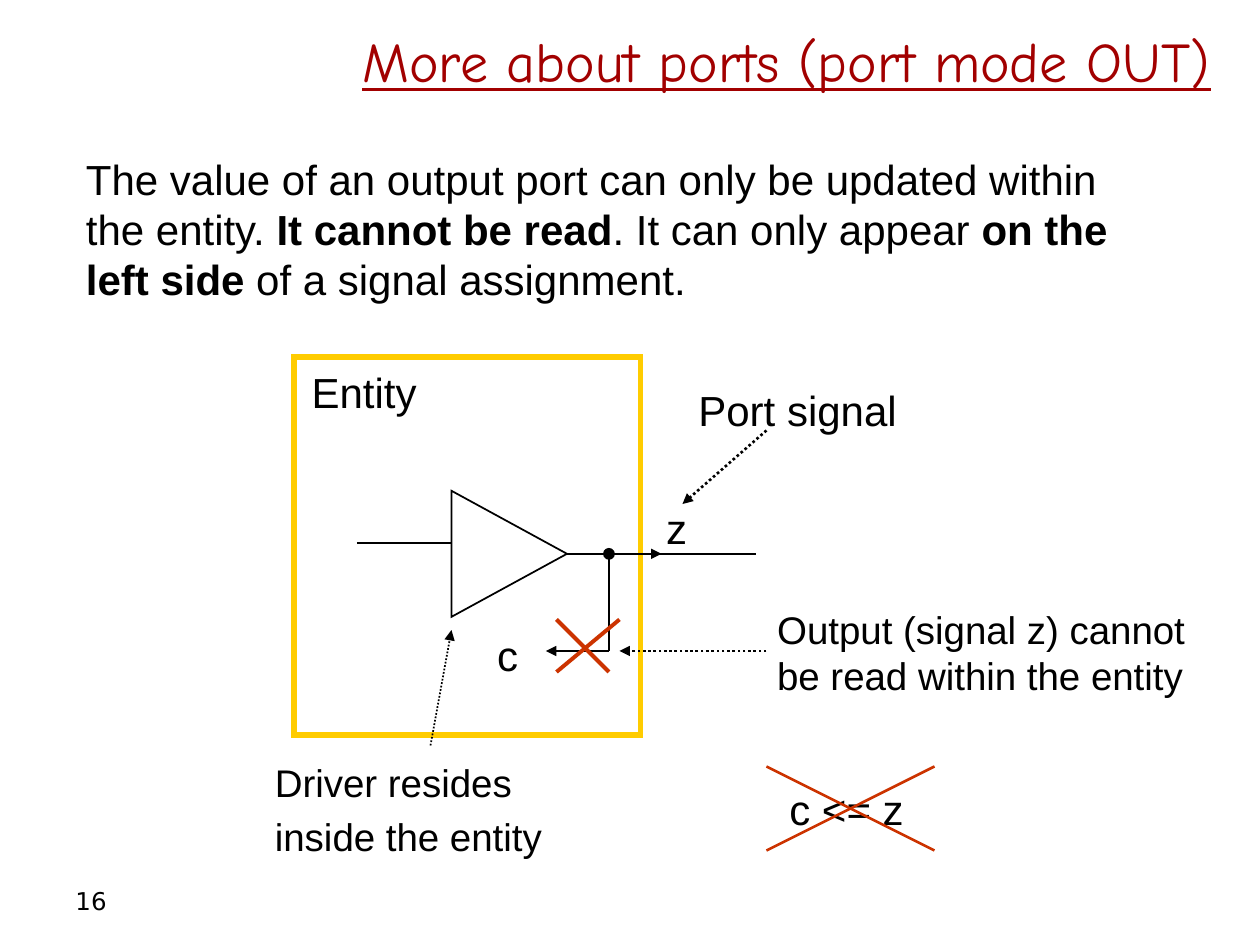
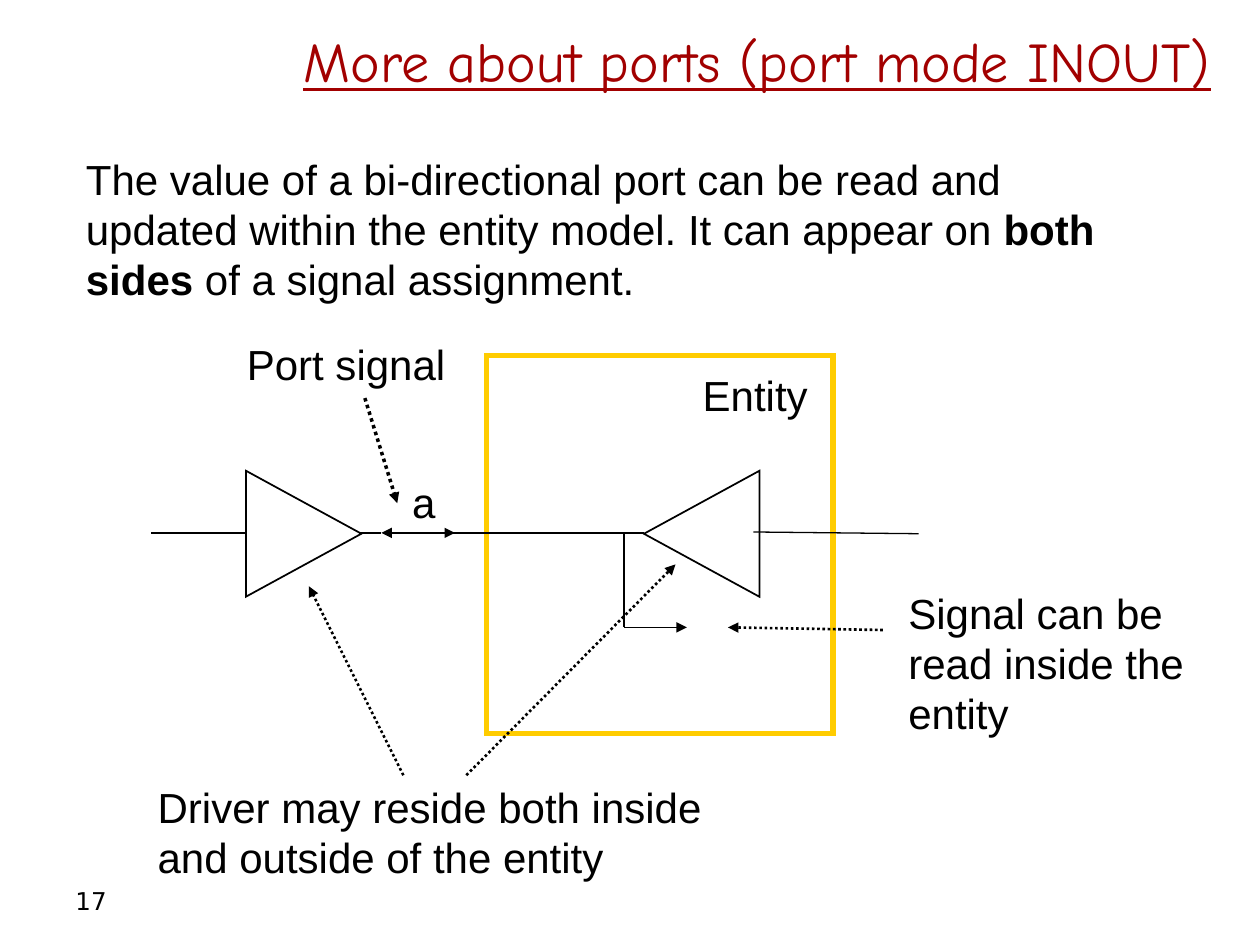
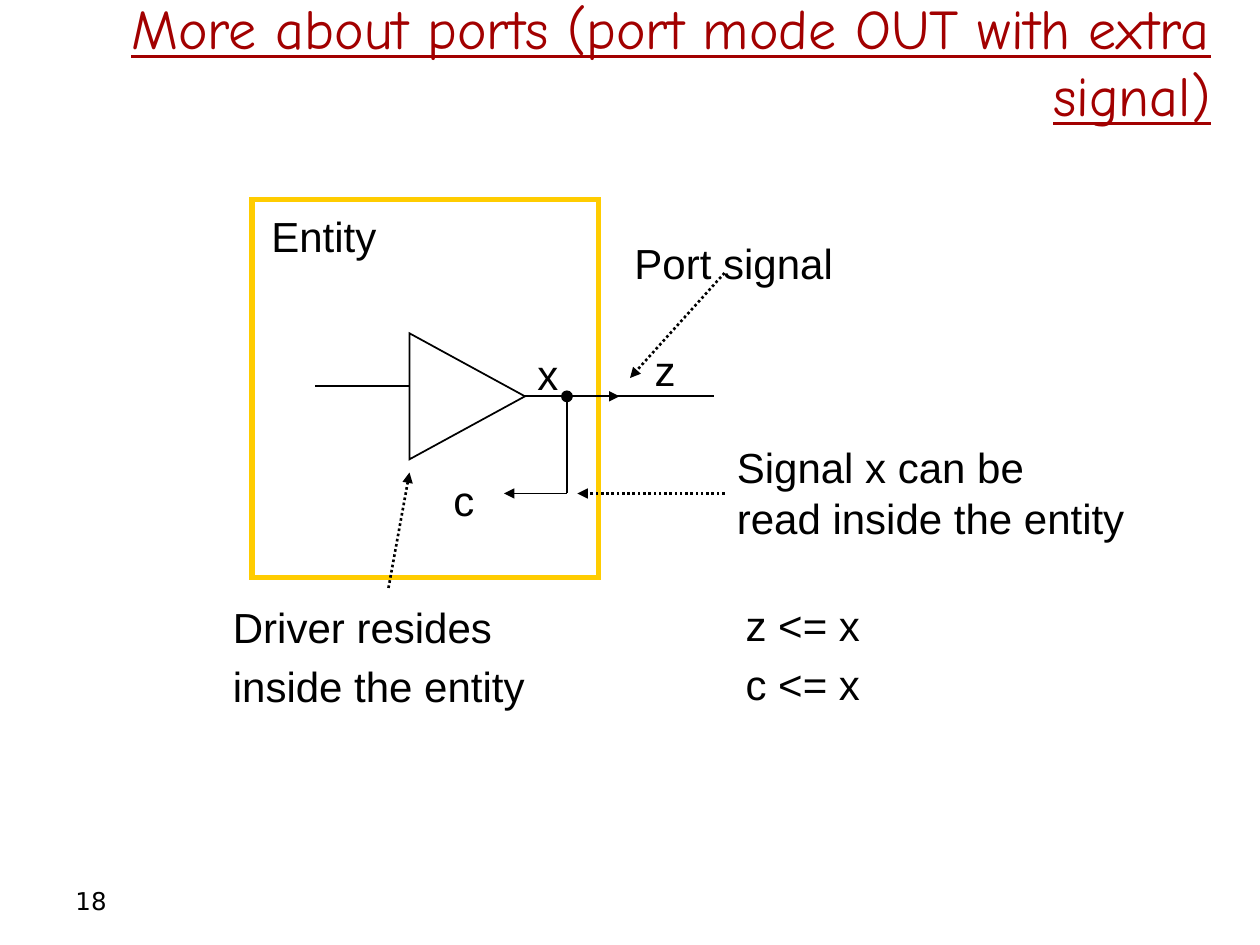
import pptx
import pptx.dml.color
import pptx.enum.dml
import pptx.enum.shapes
import pptx.enum.text
import pptx.oxml
import pptx.oxml.ns
import pptx.util

Pt = pptx.util.Pt
RGB = pptx.dml.color.RGBColor.from_string
SHAPE = pptx.enum.shapes.MSO_SHAPE

COLORS = {"title": "A20000", "ink": "000000", "entity": "FFCC00", "cross": "CC3300"}
TITLE_FONT, BODY_FONT, NUMBER_FONT = "Comic Neue", "Arial", "DejaVu Sans"
FIRST_NUMBER = 16
ENTITY_SIZE = (198, 216)
TRIANGLE_SIZE = (72, 66)
NAMESPACE = pptx.oxml.ns.nsdecls("a")


def add_text(slide, left, top, width, height, paragraphs, size=24, wrap=False, font=BODY_FONT):
    """Each paragraph is a list of runs; every second run is bold."""
    box = slide.shapes.add_textbox(Pt(left), Pt(top), Pt(width), Pt(height))
    frame = box.text_frame
    frame.word_wrap = wrap
    frame.auto_size = pptx.enum.text.MSO_AUTO_SIZE.SHAPE_TO_FIT_TEXT
    for index, runs in enumerate(paragraphs):
        paragraph = frame.add_paragraph() if index else frame.paragraphs[0]
        if index and not wrap:
            paragraph.space_before = Pt(round(size * 0.21, 1))
        for position, text in enumerate(runs):
            run = paragraph.add_run()
            run.text = text
            run.font.name = font
            run.font.size = Pt(size)
            run.font.bold = position % 2 == 1
            run.font.color.rgb = RGB(COLORS["ink"])
    return box


def add_line(slide, x1, y1, x2, y2, width=1, arrow=False, dotted=False, color="ink"):
    line = slide.shapes.add_connector(
        pptx.enum.shapes.MSO_CONNECTOR.STRAIGHT, Pt(x1), Pt(y1), Pt(x2), Pt(y2))
    line.line.width = Pt(width)
    line.line.color.rgb = RGB(COLORS[color])
    if dotted:
        line.line.dash_style = pptx.enum.dml.MSO_LINE.ROUND_DOT
    if arrow:
        tail = pptx.oxml.parse_xml(f'<a:tailEnd {NAMESPACE} type="triangle"/>')
        line.line._get_or_add_ln().append(tail)
    line._element.spPr.append(pptx.oxml.parse_xml(f"<a:effectLst {NAMESPACE}/>"))


presentation = pptx.Presentation()
presentation.slide_width = Pt(720)
presentation.slide_height = Pt(540)

# Titles, slide numbers, entity frames and driver triangles
# Each page: title, entity corner, triangles as (left, top, rotation)
pages = [
    ("More about ports (port mode OUT)", (168, 204), [(255, 283.5, 90)]),
    ("More about ports (port mode INOUT)", (278, 203), [(137.5, 272, 90), (365, 272, 270)]),
    ("More about ports (port mode OUT with extra signal)", (144, 114), [(231, 193.5, 90)]),
]
slides = []
for number, (title_text, entity_corner, triangles) in enumerate(pages, FIRST_NUMBER):
    slide = presentation.slides.add_slide(presentation.slide_layouts[5])
    slides.append(slide)

    title = slide.shapes.title
    title.left, title.top, title.width, title.height = Pt(24), Pt(9.5), Pt(675), Pt(50)
    title.text_frame.auto_size = pptx.enum.text.MSO_AUTO_SIZE.NONE
    title.text_frame.vertical_anchor = pptx.enum.text.MSO_ANCHOR.MIDDLE
    paragraph = title.text_frame.paragraphs[0]
    paragraph.alignment = pptx.enum.text.PP_ALIGN.RIGHT
    run = paragraph.add_run()
    run.text = title_text
    run.font.name = TITLE_FONT
    run.font.size = Pt(32)
    run.font.underline = True
    run.font.color.rgb = RGB(COLORS["title"])

    number_box = add_text(slide, 36, 500, 168, 29, [[str(number)]], 14, True, NUMBER_FONT)
    number_box.text_frame.auto_size = pptx.enum.text.MSO_AUTO_SIZE.NONE
    number_box.text_frame.vertical_anchor = pptx.enum.text.MSO_ANCHOR.MIDDLE

    outlines = [(SHAPE.RECTANGLE, *entity_corner, *ENTITY_SIZE, 0, "entity", 3)]
    for left, top, rotation in triangles:
        outlines.append((SHAPE.FLOWCHART_EXTRACT, left, top, *TRIANGLE_SIZE, rotation, "ink", 1))
    for kind, left, top, width, height, rotation, color, weight in outlines:
        shape = slide.shapes.add_shape(kind, Pt(left), Pt(top), Pt(width), Pt(height))
        shape.shadow.inherit = False
        shape.rotation = rotation
        shape.fill.background()
        shape.line.color.rgb = RGB(COLORS[color])
        shape.line.width = Pt(weight)
        miter = pptx.oxml.parse_xml(f'<a:miter {NAMESPACE} lim="800000"/>')
        shape.line._get_or_add_ln().append(miter)

out_slide, inout_slide, extra_slide = slides

# Circuit shared by both OUT slides, measured from the entity corner
for slide, (left, top), leader_width in [(out_slide, pages[0][1], 1), (extra_slide, pages[2][1], 1.5)]:
    for x1, y1, x2, y2, arrow in [
        (36, 106.5, 90, 106.5, False),     # driver input
        (156, 112.5, 210, 112.5, True),    # driver output
        (204, 112.5, 264, 112.5, False),   # port wire
        (180, 114.5, 180, 168, False),     # branch down
        (180, 168, 144, 168, True),        # branch to c
    ]:
        add_line(slide, left + x1, top + y1, left + x2, top + y2, arrow=arrow)
    add_line(slide, left + 78, top + 222, left + 90, top + 156, leader_width, True, True)
    add_line(slide, left + 270, top + 168, left + 186, top + 168, 1.5, True, True)

    junction = slide.shapes.add_shape(SHAPE.OVAL, Pt(left + 177), Pt(top + 109.5), Pt(6), Pt(6))
    junction.shadow.inherit = False
    junction.fill.solid()
    junction.fill.fore_color.rgb = RGB(COLORS["ink"])
    junction.line.color.rgb = RGB(COLORS["ink"])
    junction.line.width = Pt(0.75)

# Entity labels
for slide, left, top in [(out_slide, 171, 206), (inout_slide, 394.5, 207.5), (extra_slide, 148, 117)]:
    add_text(slide, left, top, 80, 36, [["Entity"]], wrap=True)

# OUT: explanation and labels
add_text(out_slide, 42, 84, 624, 94.5, [[
    "The value of an output port can only be updated within the entity. ",
    "It cannot be read", ". It can only appear ", "on the left side",
    " of a signal assignment."]], wrap=True)
add_text(out_slide, 392, 216, 128, 36, [["Port signal"]])
add_text(out_slide, 150, 430, 169, 65.5, [["Driver resides"], ["inside the entity"]], 22)
add_text(out_slide, 373.5, 283.5, 27, 36, [["z"]])
add_text(out_slide, 277, 356, 27, 36, [["c"]])
add_text(out_slide, 444, 444, 80, 36, [["c <= z"]])
add_text(out_slide, 437, 342.5, 265, 60.5,
         [["Output (signal z) cannot be read within the entity"]], 22, True)
add_line(out_slide, 438, 246, 390, 288, 1.5, True, True)

# OUT: crossed-out read and assignment
for x1, y1, x2, y2, width in [
    (438, 438, 534, 486, 1.5), (534, 438, 438, 486, 1.5),
    (354, 354, 318, 384, 2.25), (318, 354, 348, 384, 2.25),
]:
    add_line(out_slide, x1, y1, x2, y2, width, color="cross")

# INOUT: explanation and labels
add_text(inout_slide, 42, 84, 624, 94.5, [[
    "The value of a bi-directional port can be read and updated within the entity model. "
    "It can appear on ", "both sides", " of a signal assignment."]], wrap=True)
add_text(inout_slide, 134, 190, 128, 36, [["Port signal"]])
add_text(inout_slide, 228.5, 268.5, 28, 36, [["a"]])
add_text(inout_slide, 512, 332, 197, 93.5, [["Signal can be"], ["read inside the entity"]], wrap=True)
add_text(inout_slide, 83, 443, 361, 65,
         [["Driver may reside both inside and outside of the entity"]], wrap=True)

# INOUT: wires
for x1, y1, x2, y2, width, arrow in [
    (86.5, 304.5, 140.5, 304.5, 1, False),    # outer driver input
    (206, 304.5, 218, 304.5, 1, False),       # outer driver output
    (302.5, 304.5, 218, 304.5, 0.75, True),   # signal going out
    (230.5, 304.5, 260, 304.5, 1, True),      # signal coming in
    (302.5, 304.5, 368, 304.5, 1, False),     # inner driver output
    (525, 305, 430.5, 304, 0.75, False),      # inner driver input
    (356.5, 304.5, 356.5, 358.5, 1, False),   # branch down
    (356.5, 358.5, 392.5, 358.5, 1, True),    # branch into the entity
]:
    add_line(inout_slide, x1, y1, x2, y2, width, arrow)

# INOUT: dotted leaders
for x1, y1, x2, y2, width in [
    (208.5, 227.5, 227, 287.5, 2), (504.5, 360, 416, 358.5, 1.5),
    (230.5, 443, 176.5, 335, 1.5), (266.5, 443, 386, 322.5, 1.5),
]:
    add_line(inout_slide, x1, y1, x2, y2, width, True, True)

# OUT with extra signal: labels
add_text(extra_slide, 355.5, 132, 128, 36, [["Port signal"]])
add_text(extra_slide, 126, 340, 181.5, 70.5, [["Driver resides"], ["inside the entity"]])
add_text(extra_slide, 300, 195.5, 27, 36, [["x"]])
add_text(extra_slide, 252, 267.5, 27, 36, [["c"]])
add_text(extra_slide, 367, 193.5, 36, 36, [["z"]], wrap=True)
add_text(extra_slide, 419, 339, 80, 70.5, [["z <= x"], ["c <= x"]])
add_text(extra_slide, 414, 249, 258, 65, [["Signal x can be"], ["read inside the entity"]], wrap=True)
add_line(extra_slide, 414, 156, 360, 216, 1.5, True, True)

presentation.save("out.pptx")
